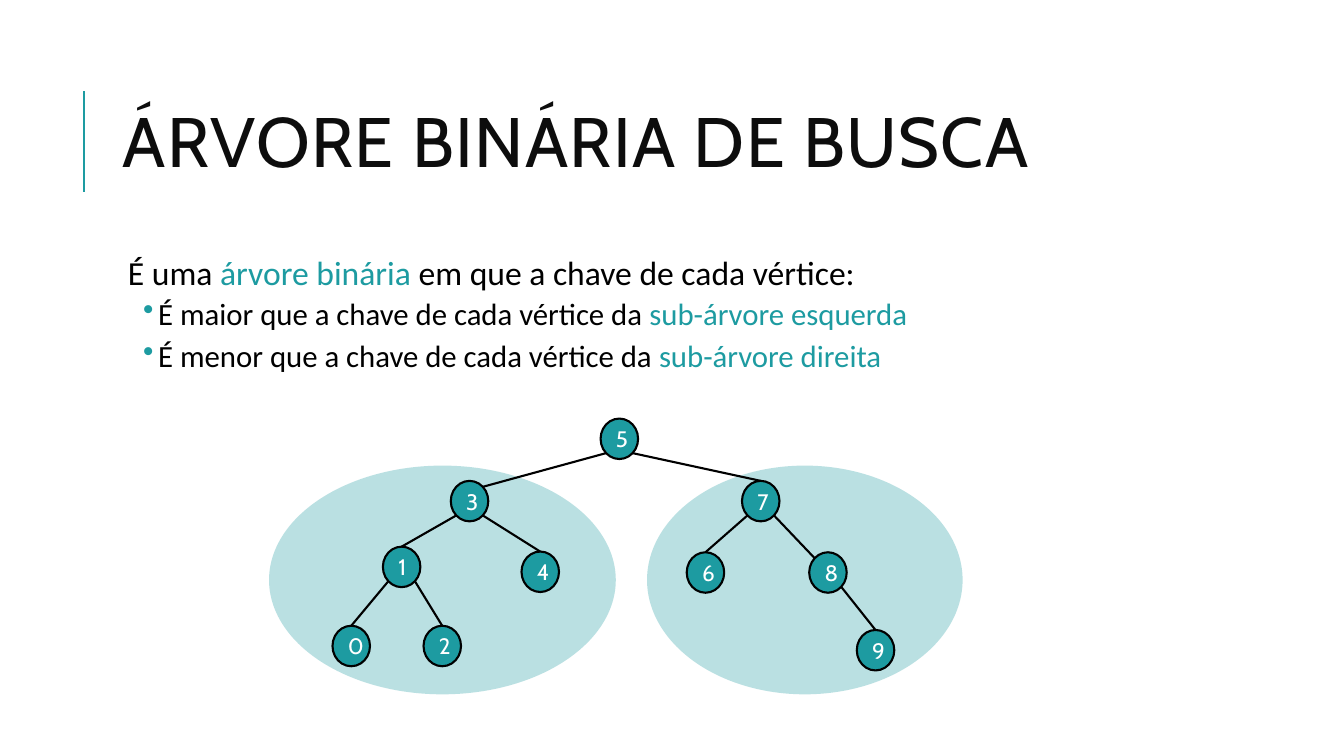
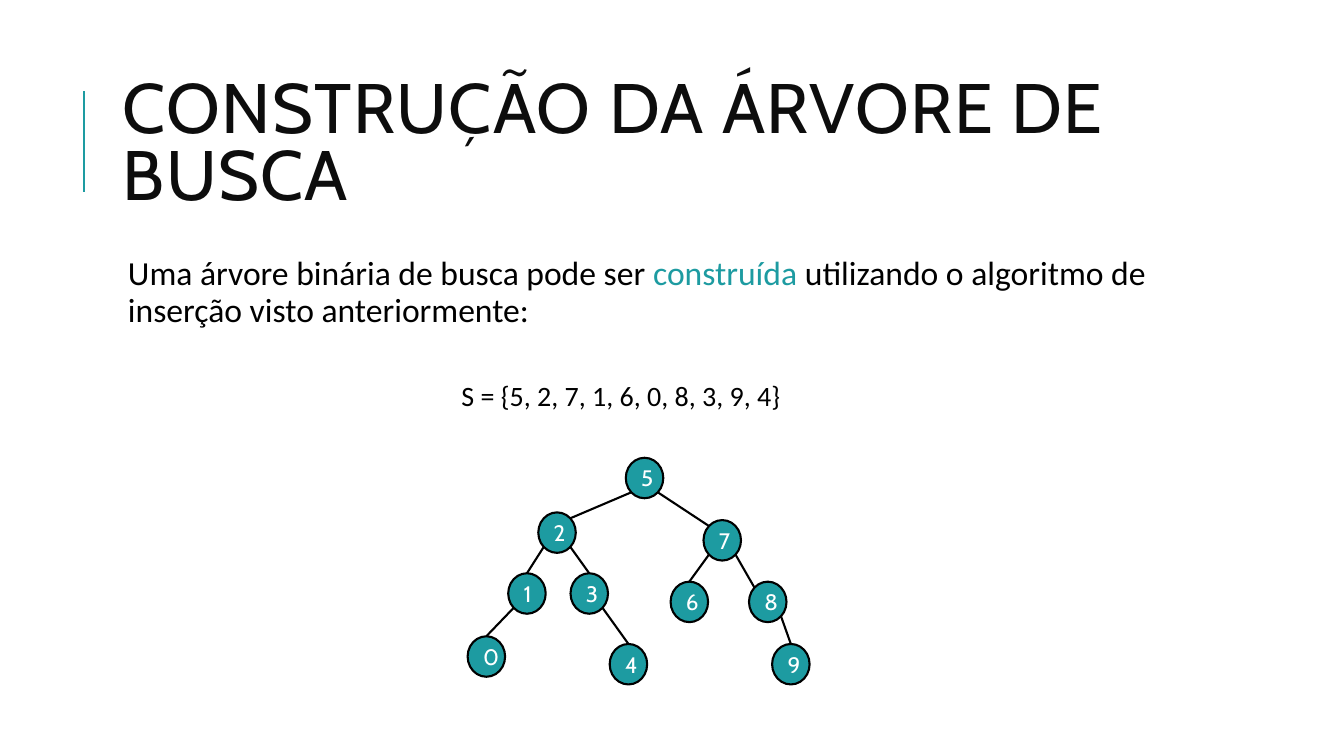
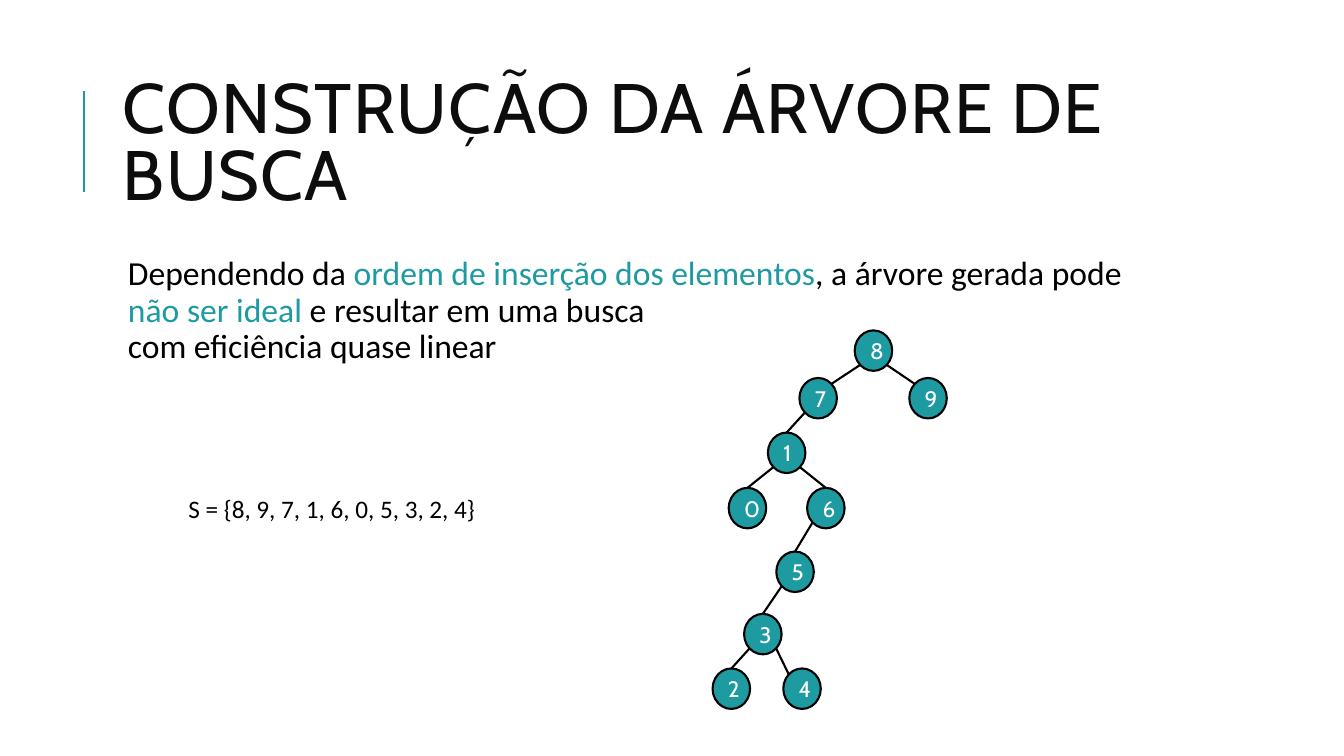
from math import sqrt

from lxml import etree
from pptx import Presentation
from pptx.dml.color import RGBColor
from pptx.enum.shapes import MSO_CONNECTOR, MSO_SHAPE
from pptx.enum.text import MSO_ANCHOR, MSO_AUTO_SIZE, PP_ALIGN
from pptx.oxml.ns import qn
from pptx.util import Pt

STRAIGHT = MSO_CONNECTOR.STRAIGHT
ELLIPSE = MSO_SHAPE.OVAL
MIDDLE = MSO_ANCHOR.MIDDLE
NO_FIT = MSO_AUTO_SIZE.NONE
LEFT, CENTER = PP_ALIGN.LEFT, PP_ALIGN.CENTER

TEAL, BLACK, WHITE, TITLE_INK = "1D9BA1", "000000", "FFFFFF", "0D0D0D"
TITLE_FONT, BODY_FONT = "Cabin", "Calibri"

SLIDE_SIZE = (960, 540)
TITLE_BOX = (80.64, 46.08, 765.36, 118.08)
BODY_BOX = (80.64, 180, 765.36, 316.8)
RULE_START, RULE_END = (60, 136.8), (60, 64.8)
LINE_WIDTH = 1.5
NODE_WIDTH, NODE_HEIGHT = 26.8, 28.9
CORNER = (1 - 1 / sqrt(2)) / 2

LEVELS = [
    {"size": 24, "margin": 7.2, "indent": 0, "before": 12, "after": 2},
    {"size": 22, "margin": 28.8, "indent": -10.8, "before": 2, "after": 4},
]

SLIDES = [
    {
        "title": "ÁRVORE BINÁRIA DE BUSCA",
        "body": [
            (0, "É uma *árvore binária *em que a chave de cada vértice:"),
            (1, "É maior que a chave de cada vértice da *sub-árvore esquerda*"),
            (1, "É menor que a chave de cada vértice da *sub-árvore direita*"),
        ],
        "halos": [(192.2, 332.6, 247.7, 163.4), (462.2, 332.6, 225.4, 163.4)],
        "nodes": {
            5: (429, 299), 3: (322, 343.5), 7: (530, 343.5), 1: (273.5, 390.5),
            4: (372.5, 394), 6: (490.5, 394.5), 8: (578, 394.5),
            0: (237.5, 447), 2: (302.5, 447), 9: (612, 450),
        },
        "corner_joins": {3, 8},
    },
    {
        "title": "CONSTRUÇÃO DA ÁRVORE DE BUSCA",
        "body": [
            (0, "Uma árvore binária de busca pode ser *construída* utilizando "
                "o algoritmo de inserção visto anteriormente:"),
        ],
        "nodes": {
            5: (447, 327), 2: (384.5, 366), 7: (502.5, 371.5), 1: (363, 409.5),
            6: (479, 415.5), 0: (334, 454.5), 8: (535, 415.5),
            3: (407.5, 409.5), 9: (551.5, 460), 4: (435.5, 460),
        },
        "corner_joins": {2, 7, 8},
        "sequence": ("S = {5, 2, 7, 1, 6, 0, 8, 3, 9, 4}", 20, (322.5, 267, 268, 31.5)),
    },
    {
        "title": "CONSTRUÇÃO DA ÁRVORE DE BUSCA",
        "body": [
            (0, "Dependendo da *ordem de inserção dos elementos*, a árvore gerada "
                "pode *não ser ideal *e resultar em uma busca\n"
                "com eficiência quase linear"),
        ],
        "nodes": {
            8: (610.5, 236), 9: (649.5, 270), 7: (571, 270), 1: (548.5, 309),
            6: (576.5, 348.5), 0: (520.5, 348.5), 5: (554.5, 394),
            3: (531.5, 438.5), 2: (509, 477.5), 4: (559.5, 477.5),
        },
        "corner_joins": {7, 9, 4},
        "sequence": ("S = {8, 9, 7, 1, 6, 0, 5, 3, 2, 4}", 18, (127.5, 348.5, 258.5, 29)),
    },
]


def color(code):
    return RGBColor.from_string(code)


def points(values):
    return [Pt(value) for value in values]


def apply(target, values):
    for name, value in values.items():
        setattr(target, name, value)


def add_span(para, text, size, font_name, code):
    span = para.add_run()
    span.text = text
    apply(span.font, {"size": Pt(size), "name": font_name})
    span.font.color.rgb = color(code)
    return span


def add_line(page, start, end, code):
    line = page.shapes.add_connector(STRAIGHT, *points(start + end))
    line.line.color.rgb = color(code)
    line.line.width = Pt(LINE_WIDTH)
    etree.SubElement(line._element.spPr, qn("a:effectLst"))


def add_ellipse(page, bounds):
    shape = page.shapes.add_shape(ELLIPSE, *points(bounds))
    shape.shadow.inherit = False
    shape.fill.solid()
    shape.fill.fore_color.rgb = color(TEAL)
    return shape


def add_halo(page, bounds):
    halo = add_ellipse(page, bounds)
    halo.line.fill.background()
    fill_color = halo._element.spPr.find(qn("a:solidFill"))[0]
    etree.SubElement(fill_color, qn("a:alpha"), val="30000")


def add_node(page, key, left, top):
    node = add_ellipse(page, (left, top, NODE_WIDTH, NODE_HEIGHT))
    node.line.color.rgb = color(BLACK)
    node.line.width = Pt(LINE_WIDTH)
    node.text_frame.vertical_anchor = MIDDLE
    para = node.text_frame.paragraphs[0]
    para.alignment = CENTER
    add_span(para, str(key), 16, TITLE_FONT, WHITE)


def find_parent(key, earlier):
    smaller = [other for other in earlier if other < key]
    larger = [other for other in earlier if other > key]
    neighbours = [max(smaller, default=None), min(larger, default=None)]
    return max((other for other in neighbours if other is not None), key=earlier.index)


def node_point(position, across, down):
    return position[0] + across * NODE_WIDTH, position[1] + down * NODE_HEIGHT


def add_tree(page, nodes, corner_joins):
    keys = list(nodes)
    for index, key in enumerate(keys[1:], 1):
        parent = find_parent(key, keys[:index])
        on_left = key < parent
        leave = CORNER if on_left else 1 - CORNER
        start = node_point(nodes[parent], leave, 1 - CORNER)
        if key in corner_joins:
            end = node_point(nodes[key], 1 - leave, CORNER)
        else:
            end = node_point(nodes[key], 0.5, 0)
        add_line(page, start, end, BLACK)
    for key, position in nodes.items():
        add_node(page, key, *position)


def add_title(page, text):
    title = page.shapes.title
    apply(title, dict(zip(("left", "top", "width", "height"), points(TITLE_BOX))))
    apply(title.text_frame, {"auto_size": NO_FIT, "word_wrap": True, "vertical_anchor": MIDDLE})
    para = title.text_frame.paragraphs[0]
    apply(para, {"alignment": LEFT, "line_spacing": 0.8})
    span = add_span(para, text, 50, TITLE_FONT, TITLE_INK)
    span.font._element.set("spc", "100")


def add_bullet(properties):
    bullet_color = etree.SubElement(properties, qn("a:buClr"))
    etree.SubElement(bullet_color, qn("a:srgbClr"), val=TEAL)
    etree.SubElement(properties, qn("a:buChar"), char="•")


def add_body(page, items):
    frame = page.shapes.add_textbox(*points(BODY_BOX)).text_frame
    frame.word_wrap = True
    sides = ("left", "top", "right", "bottom")
    apply(frame, {f"margin_{side}": Pt(3.6) for side in sides})
    for index, (level, text) in enumerate(items):
        style = LEVELS[level]
        para = frame.add_paragraph() if index else frame.paragraphs[0]
        properties = para._p.get_or_add_pPr()
        properties.set("marL", str(Pt(style["margin"])))
        properties.set("indent", str(Pt(style["indent"])))
        if level:
            add_bullet(properties)
        apply(para, {
            "level": level,
            "line_spacing": 0.9,
            "space_before": Pt(style["before"] if index else 0),
            "space_after": Pt(style["after"]),
        })
        for row, line in enumerate(text.split("\n")):
            if row:
                para.add_line_break()
            for part, words in enumerate(line.split("*")):
                if words:
                    add_span(para, words, style["size"], BODY_FONT, TEAL if part % 2 else BLACK)


def add_sequence(page, text, size, bounds):
    frame = page.shapes.add_textbox(*points(bounds)).text_frame
    frame.word_wrap = True
    add_span(frame.paragraphs[0], text, size, BODY_FONT, BLACK)


def add_page(deck, content):
    page = deck.slides.add_slide(deck.slide_layouts[5])
    add_line(page, RULE_START, RULE_END, TEAL)
    for bounds in content.get("halos", []):
        add_halo(page, bounds)
    add_title(page, content["title"])
    add_body(page, content["body"])
    add_tree(page, content["nodes"], content["corner_joins"])
    if "sequence" in content:
        add_sequence(page, *content["sequence"])


def main():
    deck = Presentation()
    deck.slide_width, deck.slide_height = points(SLIDE_SIZE)
    for content in SLIDES:
        add_page(deck, content)
    deck.save("out.pptx")


if __name__ == "__main__":
    main()
